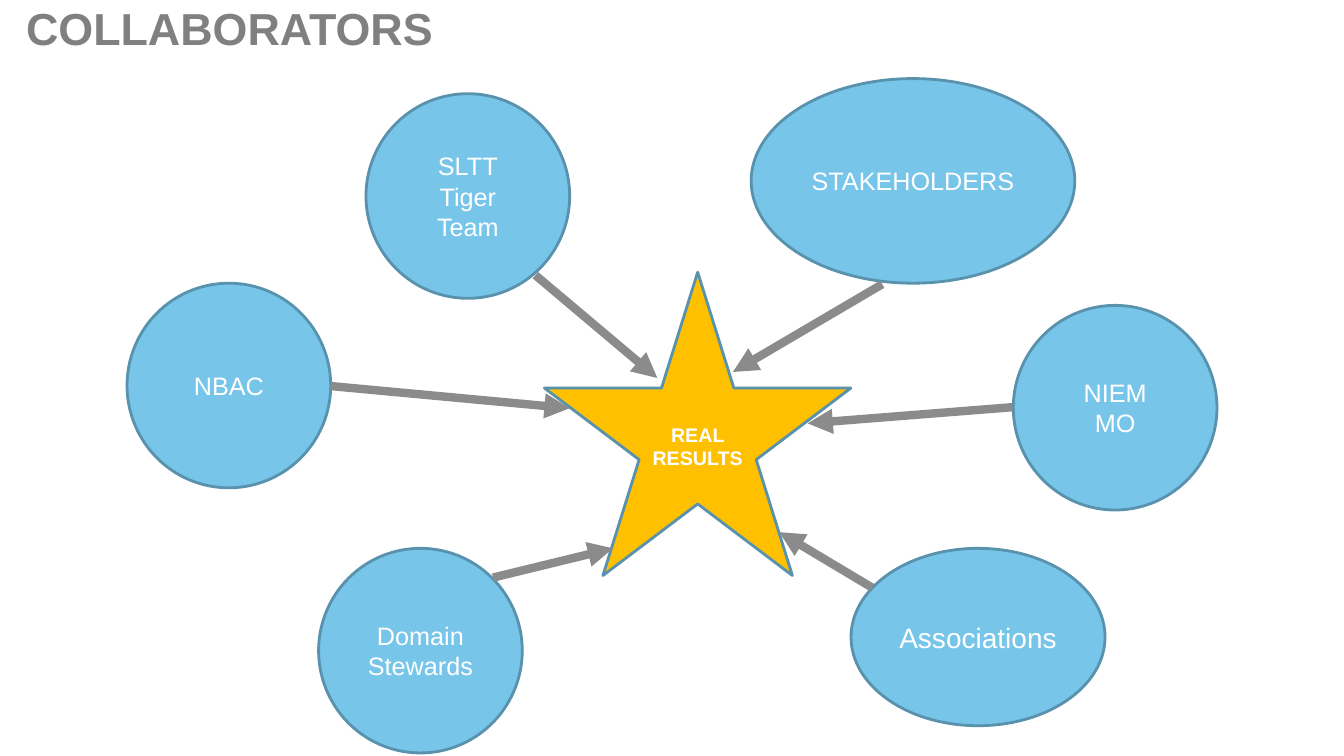
from lxml import etree
from pptx import Presentation
from pptx.dml.color import RGBColor
from pptx.enum.shapes import MSO_CONNECTOR as CONNECTOR, MSO_SHAPE as SHAPE
from pptx.enum.text import MSO_ANCHOR as ANCHOR, PP_ALIGN as ALIGN
from pptx.oxml.ns import qn
from pptx.util import Inches, Pt

FONT = "Arial"
TITLE_GRAY, ARROW_GRAY = "808080", "8B8B8B"
BLUE, OUTLINE, GOLD, WHITE = "78C5EA", "5992AD", "FFC000", "FFFFFF"
CIRCLE = (2.02, 2.03)

COLLABORATORS = [
    ("Domain\nStewards", (3.16, 5.44), CIRCLE, 18),
    ("Associations", (8.44, 5.44), (2.52, 1.76), 20),
    ("NBAC", (1.26, 2.81), CIRCLE, 18),
    ("NIEM\nMO", (10.05, 3.03), CIRCLE, 18),
    ("SLTT\nTiger Team", (3.63, 0.93), CIRCLE, 18),
    ("STAKEHOLDERS", (7.45, 0.78), (3.21, 2.03), 18),
]
ARROWS = [
    ((3.28, 3.83), (5.65, 4.05)),
    ((10.04, 4.04), (8.01, 4.2)),
    ((8.75, 2.82), (7.27, 3.69)),
    ((5.31, 2.73), (6.52, 3.75)),
    ((8.65, 5.83), (7.73, 5.28)),
    ((4.89, 5.73), (6.08, 5.44)),
]


def color(value):
    """Turn a hex string into a colour."""
    return RGBColor.from_string(value)


def write_text(frame, text, size, font_color, bold=False, align=ALIGN.CENTER):
    """Write one paragraph per line of text and return the paragraphs."""
    frame.word_wrap = True
    frame.text = text
    for paragraph in frame.paragraphs:
        paragraph.alignment = align
        font = paragraph.font
        font.name, font.size, font.bold = FONT, Pt(size), bold
        font.color.rgb = color(font_color)
    return frame.paragraphs


def add_title(slide, left, top, width, height):
    """Place the slide title in the given box."""
    box = slide.shapes.add_textbox(*map(Inches, (left, top, width, height)))
    paragraphs = write_text(box.text_frame, "COLLABORATORS", 32, TITLE_GRAY, True, ALIGN.LEFT)
    paragraphs[0].line_spacing = 0.8


def add_figure(slide, kind, place, extent, fill, text, size, bold=False):
    """Place an outlined shape with centred white text."""
    shape = slide.shapes.add_shape(kind, *map(Inches, place + extent))
    shape.shadow.inherit = False
    shape.fill.solid()
    shape.fill.fore_color.rgb = color(fill)
    shape.line.color.rgb = color(OUTLINE)
    shape.line.width = Pt(2)
    shape.text_frame.vertical_anchor = ANCHOR.MIDDLE
    write_text(shape.text_frame, text, size, WHITE, bold)


def add_arrow(slide, start, end):
    """Draw a thick arrow from start to end."""
    arrow = slide.shapes.add_connector(CONNECTOR.STRAIGHT, *map(Inches, start + end))
    arrow.line.color.rgb = color(ARROW_GRAY)
    arrow.line.width = Pt(6)
    etree.SubElement(arrow.line._get_or_add_ln(), qn("a:tailEnd"), type="triangle")
    etree.SubElement(arrow._element.spPr, qn("a:effectLst"))


def add_diagram(slide, left, top):
    """Place the collaborators around the star, offset from the given corner."""
    def shift(point):
        return left + point[0], top + point[1]

    for text, place, extent, size in COLLABORATORS:
        add_figure(slide, SHAPE.OVAL, shift(place), extent, BLUE, text, size)
    add_figure(slide, SHAPE.STAR_5_POINT, shift((5.4, 2.7)), (3.04, 3.01),
               GOLD, "REAL RESULTS", 14, True)
    for start, end in ARROWS:
        add_arrow(slide, shift(start), shift(end))


def main():
    """Build and save the presentation."""
    presentation = Presentation()
    presentation.slide_width, presentation.slide_height = Inches(13.33), Inches(7.5)
    slide = presentation.slides.add_slide(presentation.slide_layouts[6])
    add_title(slide, 0.16, 0.06, 10.29, 1.53)
    add_diagram(slide, 0, 0)
    presentation.save("out.pptx")


if __name__ == "__main__":
    main()
